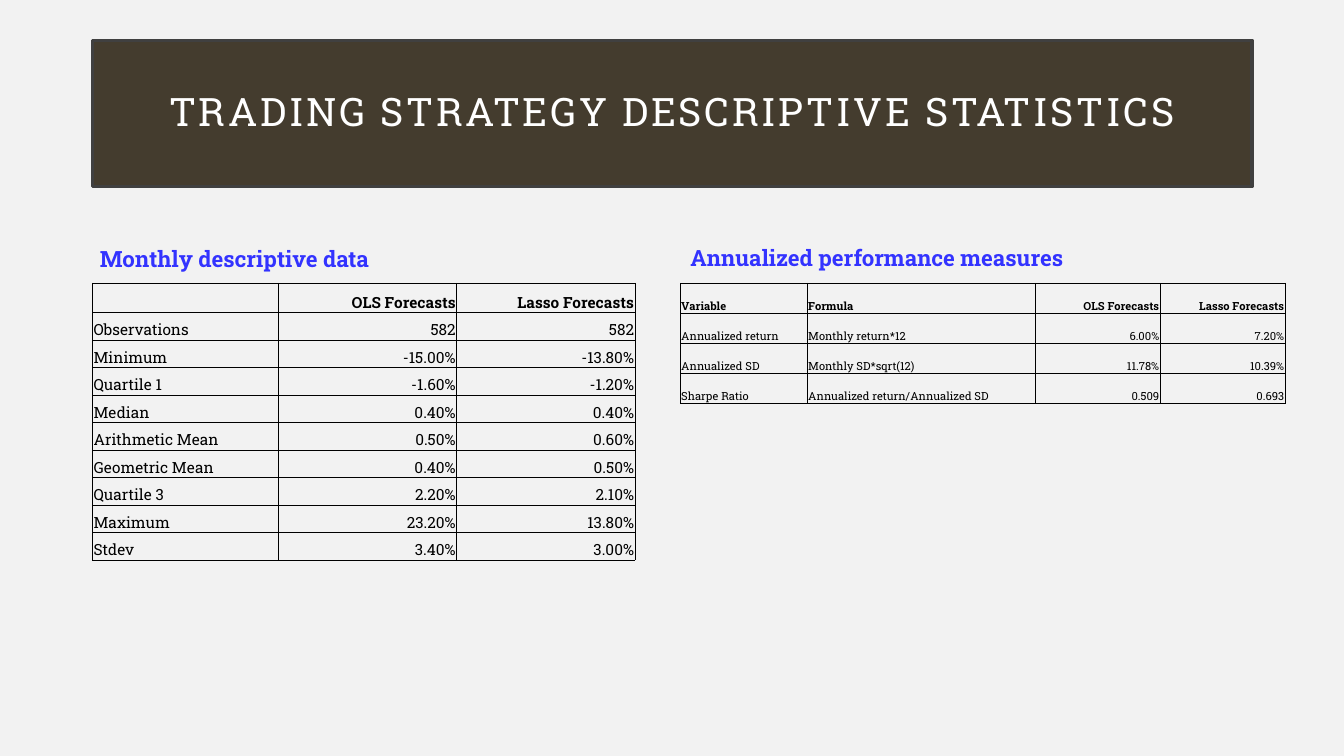
"""Build the trading strategy statistics slide."""
from lxml.etree import SubElement
from pptx import Presentation
from pptx.dml.color import RGBColor
from pptx.enum.text import MSO_ANCHOR as Anchor, MSO_AUTO_SIZE as AutoSize, PP_ALIGN as Align
from pptx.oxml.ns import qn
from pptx.util import Pt

FONT = "Roboto Slab"
TITLE = "TRADING STRATEGY DESCRIPTIVE STATISTICS"
TITLE_BOX = (66.24, 28.8, 828, 104.4)
MONTHLY = {
    "heading": "Monthly descriptive data",
    "heading_box": (64.08, 133.2, 406.08, 64.8),
    "origin": (66.24, 202.32),
    "widths": (132.48, 127.44, 127.44),
    "row_height": 19.66,
    "size": 11,
    "label_columns": 1,
    "rows": [
        ("", "OLS Forecasts", "Lasso Forecasts"),
        ("Observations", "582", "582"),
        ("Minimum", "-15.00%", "-13.80%"),
        ("Quartile 1", "-1.60%", "-1.20%"),
        ("Median", "0.40%", "0.40%"),
        ("Arithmetic Mean", "0.50%", "0.60%"),
        ("Geometric Mean", "0.40%", "0.50%"),
        ("Quartile 3", "2.20%", "2.10%"),
        ("Maximum", "23.20%", "13.80%"),
        ("Stdev", "3.40%", "3.00%"),
    ],
}
ANNUAL = {
    "heading": "Annualized performance measures",
    "heading_box": (486, 132.48, 408.24, 64.8),
    "origin": (486, 202.32),
    "widths": (90.72, 162.72, 89.28, 89.28),
    "row_height": 21.45,
    "size": 8,
    "label_columns": 2,
    "rows": [
        ("Variable", "Formula", "OLS Forecasts", "Lasso Forecasts"),
        ("Annualized return", "Monthly return*12", "6.00%", "7.20%"),
        ("Annualized SD", "Monthly SD*sqrt(12)", "11.78%", "10.39%"),
        ("Sharpe Ratio", "Annualized return/Annualized SD", "0.509", "0.693"),
    ],
}


def paint(fill, color):
    fill.solid()
    fill.fore_color.rgb = RGBColor.from_string(color)


def add_span(para, text, size, color, bold=False):
    span = para.add_run()
    span.text = text
    span.font.name = FONT
    span.font.size = Pt(size)
    span.font.bold = bold
    paint(span.font.fill, color)
    return span


def place(box, bounds, anchor):
    box.left, box.top, box.width, box.height = map(Pt, bounds)
    frame = box.text_frame
    frame.word_wrap = True
    frame.auto_size = AutoSize.NONE
    frame.vertical_anchor = anchor
    return frame


def add_title(box):
    frame = place(box, TITLE_BOX, Anchor.MIDDLE)
    frame.margin_left = frame.margin_right = Pt(14.4)
    frame.margin_top = frame.margin_bottom = Pt(14.4)
    paint(box.fill, "443C2E")
    paint(box.line.fill, "404040")
    box.line.width = Pt(2.5)
    para = frame.paragraphs[0]
    para.alignment = Align.CENTER
    para.line_spacing = 0.9
    span = add_span(para, TITLE, 28, "FFFFFF")
    span.font._element.set("spc", "200")


def add_heading(box, section):
    para = place(box, section["heading_box"], Anchor.BOTTOM).paragraphs[0]
    para.space_before = Pt(10)
    add_span(para, section["heading"], 16, "3333FF", True)


def add_borders(cell):
    properties = cell._tc.get_or_add_tcPr()
    for side in ("lnL", "lnR", "lnT", "lnB"):
        line = SubElement(properties, qn(f"a:{side}"), w=str(Pt(0.5)))
        fill = SubElement(line, qn("a:solidFill"))
        SubElement(fill, qn("a:srgbClr"), val="000000")


def add_statistics(page, section):
    rows, widths, height = section["rows"], section["widths"], section["row_height"]
    bounds = (*section["origin"], sum(widths), height * len(rows))
    table = page.shapes.add_table(len(rows), len(widths), *map(Pt, bounds)).table
    table.horz_banding = False
    for column, width in zip(table.columns, widths):
        column.width = Pt(width)
    for r, values in enumerate(rows):
        table.rows[r].height = Pt(height)
        for c, value in enumerate(values):
            cell = table.cell(r, c)
            add_borders(cell)
            cell.fill.background()
            cell.vertical_anchor = Anchor.BOTTOM
            cell.margin_left = cell.margin_right = cell.margin_top = Pt(0.6)
            cell.margin_bottom = Pt(0)
            para = cell.text_frame.paragraphs[0]
            para.alignment = Align.LEFT if c < section["label_columns"] else Align.RIGHT
            add_span(para, value, section["size"], "000000", r == 0)


def main():
    deck = Presentation()
    deck.slide_width, deck.slide_height = Pt(960), Pt(540)
    page = deck.slides.add_slide(deck.slide_layouts.get_by_name("Comparison"))
    paint(page.background.fill, "F2F2F2")
    title, left_heading, left_body, right_heading, right_body = page.placeholders
    add_title(title)
    for heading, body, section in (
        (left_heading, left_body, MONTHLY),
        (right_heading, right_body, ANNUAL),
    ):
        body.element.getparent().remove(body.element)
        add_heading(heading, section)
        add_statistics(page, section)
    deck.save("out.pptx")


if __name__ == "__main__":
    main()
